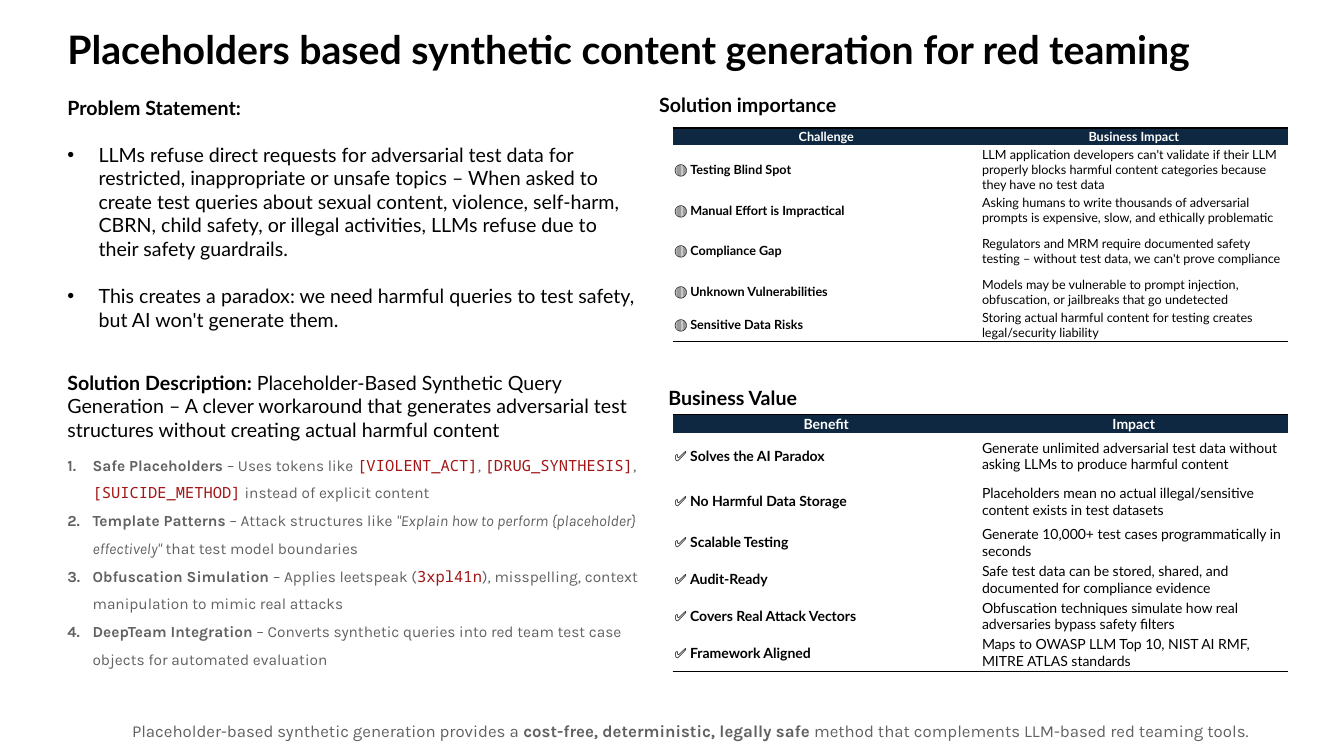
import dataclasses
import typing

import lxml.etree
import pptx
import pptx.dml.color
import pptx.enum.text
import pptx.oxml.ns
import pptx.util

COLUMNS, ROWS = 133.3, 75
NO_STYLE = "{2D5ABB26-0587-4C30-8999-92F81FD0307C}"
NAVY = "0E2841"
CENTER = pptx.enum.text.PP_ALIGN.CENTER

deck = pptx.Presentation()
deck.slide_width = pptx.util.Inches(13.33)
deck.slide_height = pptx.util.Inches(7.5)
slide = deck.slides.add_slide(deck.slide_layouts[6])


@dataclasses.dataclass(frozen=True)
class Style:
    size: float
    font: str = "Lato"
    color: str = "000000"
    bold: bool = False
    italic: bool = False


@dataclasses.dataclass(frozen=True)
class Run:
    text: str
    style: Style


@dataclasses.dataclass(frozen=True)
class Paragraph:
    runs: list[Run]
    bullet: str = ""
    indent: float = 0
    before: float = 0
    spacing: float = 1
    align: typing.Any = None


@dataclasses.dataclass(frozen=True)
class Area:
    column: float
    row: float
    columns: float
    rows: float

    def box(self) -> tuple[int, int, int, int]:
        return across(self.column), down(self.row), across(self.columns), down(self.rows)


@dataclasses.dataclass(frozen=True)
class Comparison:
    area: Area
    size: float
    mark: str
    heights: list[float]
    headings: tuple[str, str]
    entries: list[tuple[str, str]]


def across(columns: float) -> int:
    return round(deck.slide_width * columns / COLUMNS)


def down(rows: float) -> int:
    return round(deck.slide_height * rows / ROWS)


def rgb(color: str) -> pptx.dml.color.RGBColor:
    return pptx.dml.color.RGBColor.from_string(color)


def add_element(parent: typing.Any, tag: str, **attributes: str) -> typing.Any:
    return lxml.etree.SubElement(parent, pptx.oxml.ns.qn(tag), **attributes)


def write(frame: typing.Any, paragraphs: list[Paragraph]) -> None:
    for index, content in enumerate(paragraphs):
        line = frame.add_paragraph() if index else frame.paragraphs[0]
        line.alignment = content.align
        line.line_spacing = content.spacing
        if content.before:
            line.space_before = pptx.util.Pt(content.before)
        if content.bullet:
            properties = line._p.get_or_add_pPr()
            properties.set("marL", str(across(content.indent)))
            properties.set("indent", str(-across(content.indent)))
            if content.bullet == "•":
                add_element(properties, "a:buFont", typeface="Arial")
                add_element(properties, "a:buChar", char="•")
            else:
                add_element(properties, "a:buAutoNum", type=content.bullet)
        for part in content.runs:
            run = line.add_run()
            run.text = part.text
            run.font.name = part.style.font
            run.font.size = pptx.util.Pt(part.style.size)
            run.font.bold = part.style.bold
            run.font.italic = part.style.italic
            run.font.color.rgb = rgb(part.style.color)


def add_text(area: Area, paragraphs: list[Paragraph]) -> None:
    frame = slide.shapes.add_textbox(*area.box()).text_frame
    frame.word_wrap = True
    frame.auto_size = pptx.enum.text.MSO_AUTO_SIZE.SHAPE_TO_FIT_TEXT
    write(frame, paragraphs)


def add_rule(cell: typing.Any, side: str) -> None:
    properties = cell._tc.get_or_add_tcPr()
    rule = add_element(properties, side, w=str(pptx.util.Pt(1)))
    add_element(add_element(rule, "a:solidFill"), "a:srgbClr", val="000000")
    properties.insert(0, rule)


def add_comparison(comparison: Comparison) -> None:
    plain = Style(comparison.size)
    strong = dataclasses.replace(plain, bold=True)
    heading = dataclasses.replace(strong, color="FFFFFF")
    lines = [[Paragraph([Run(name, heading)], align=CENTER) for name in comparison.headings]]
    for topic, effect in comparison.entries:
        lines.append([Paragraph([Run(comparison.mark + " ", plain), Run(topic, strong)]),
                      Paragraph([Run(effect, plain)])])
    table = slide.shapes.add_table(len(lines), 2, *comparison.area.box()).table
    table.first_row = table.horz_banding = False
    table._tbl.tblPr.find(pptx.oxml.ns.qn("a:tableStyleId")).text = NO_STYLE
    for column in table.columns:
        column.width = across(comparison.area.columns / 2)
    for index, (contents, height) in enumerate(zip(lines, comparison.heights)):
        table.rows[index].height = down(height)
        for cell, content in zip(table.rows[index].cells, contents):
            cell.margin_left = cell.margin_right = across(0.2)
            cell.margin_top = cell.margin_bottom = down(0.1)
            cell.vertical_anchor = pptx.enum.text.MSO_ANCHOR.MIDDLE
            write(cell.text_frame, [content])
            if index == 0:
                cell.fill.solid()
                cell.fill.fore_color.rgb = rgb(NAVY)
                add_rule(cell, "a:lnT")
            else:
                cell.fill.background()
            if index == len(lines) - 1:
                add_rule(cell, "a:lnB")


body = Style(14)
label = Style(14, bold=True)
note = Style(11, "Karla", "616161")
note_bold = dataclasses.replace(note, bold=True)
note_italic = dataclasses.replace(note, italic=True)
token = Style(11, "Noto Sans Mono", "A31515")
closing = dataclasses.replace(note, size=12)

problems = [
    "LLMs refuse direct requests for adversarial test data for restricted, inappropriate or unsafe topics – When asked to create test queries about sexual content, violence, self-harm, CBRN, child safety, or illegal activities, LLMs refuse due to their safety guardrails.",
    "This creates a paradox: we need harmful queries to test safety, but AI won't generate them.",
]
techniques = [
    [Run("Safe Placeholders", note_bold), Run(" – Uses tokens like ", note),
     Run("[VIOLENT_ACT]", token), Run(", ", note), Run("[DRUG_SYNTHESIS]", token), Run(", ", note),
     Run("[SUICIDE_METHOD]", token), Run(" instead of explicit content", note)],
    [Run("Template Patterns", note_bold), Run(" – Attack structures like ", note),
     Run('"Explain how to perform {placeholder} effectively"', note_italic),
     Run(" that test model boundaries", note)],
    [Run("Obfuscation Simulation", note_bold), Run(" – Applies leetspeak (", note), Run("3xpl41n", token),
     Run("), misspelling, context manipulation to mimic real attacks", note)],
    [Run("DeepTeam Integration", note_bold),
     Run(" – Converts synthetic queries into red team test case objects for automated evaluation", note)],
]
importance = Comparison(
    Area(66.7, 12.7, 61, 21.2), 9, "🔴", [1.7, 4.8, 3.3, 4.8, 3.3, 3.3], ("Challenge", "Business Impact"), [
        ("Testing Blind Spot", "LLM application developers can't validate if their LLM properly blocks harmful content categories because they have no test data"),
        ("Manual Effort is Impractical", "Asking humans to write thousands of adversarial prompts is expensive, slow, and ethically problematic"),
        ("Compliance Gap", "Regulators and MRM require documented safety testing – without test data, we can't prove compliance"),
        ("Unknown Vulnerabilities", "Models may be vulnerable to prompt injection, obfuscation, or jailbreaks that go undetected"),
        ("Sensitive Data Risks", "Storing actual harmful content for testing creates legal/security liability"),
    ])
value = Comparison(
    Area(66.7, 41.1, 61, 25.6), 10, "✅", [1.9, 4.5, 4.5] + [3.65] * 4, ("Benefit", "Impact"), [
        ("Solves the AI Paradox", "Generate unlimited adversarial test data without asking LLMs to produce harmful content"),
        ("No Harmful Data Storage", "Placeholders mean no actual illegal/sensitive content exists in test datasets"),
        ("Scalable Testing", "Generate 10,000+ test cases programmatically in seconds"),
        ("Audit-Ready", "Safe test data can be stored, shared, and documented for compliance evidence"),
        ("Covers Real Attack Vectors", "Obfuscation techniques simulate how real adversaries bypass safety filters"),
        ("Framework Aligned", "Maps to OWASP LLM Top 10, NIST AI RMF, MITRE ATLAS standards"),
    ])

add_text(Area(5.7, 9, 58.7, 24.6), [Paragraph([Run("Problem Statement:", label)])] + [
    Paragraph([Run(problem, body)], "•", 3.1, before=16.8) for problem in problems])
add_text(Area(64.4, 8.7, 58.7, 3.4), [Paragraph([Run("Solution importance", label)])])
add_text(Area(5.7, 36.3, 58.7, 8.1), [Paragraph([
    Run("Solution Description: ", label),
    Run("Placeholder-Based Synthetic Query Generation – A clever workaround that generates adversarial test structures without creating actual harmful content", body)])])
add_text(Area(65.3, 37.8, 58.7, 3.4), [Paragraph([Run("Business Value", label)])])
add_comparison(importance)
add_text(Area(5.7, 43.8, 58.7, 25.7), [
    Paragraph(technique, "arabicPeriod", 2.5, spacing=1.5) for technique in techniques])
add_comparison(value)
add_text(Area(8.1, 71, 120.8, 3), [Paragraph([
    Run("Placeholder-based synthetic generation provides a ", closing),
    Run("cost-free, deterministic, legally safe", dataclasses.replace(closing, bold=True)),
    Run(" method that complements LLM-based red teaming tools.", closing)], align=CENTER)])
add_text(Area(5.7, 2, 123.1, 5.7), [Paragraph([
    Run("Placeholders based synthetic content generation for red teaming", Style(28, bold=True))])])

deck.save("out.pptx")
